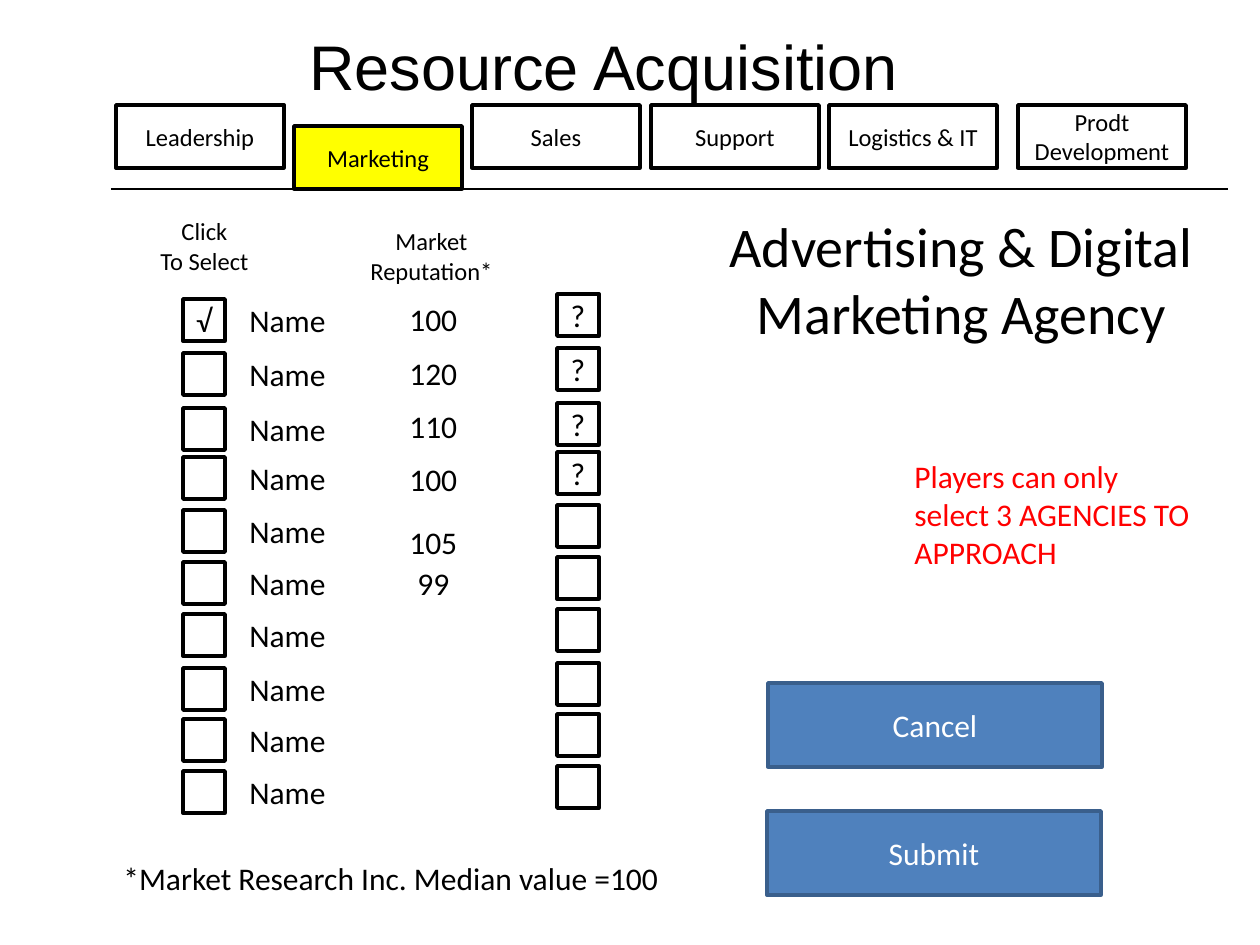
"""Build the resource acquisition slide with its marketing tab open."""
from lxml.etree import SubElement
from pptx import Presentation
from pptx.dml.color import RGBColor as RGB
from pptx.enum.shapes import MSO_CONNECTOR as CON, MSO_SHAPE as SHAPE
from pptx.enum.text import MSO_ANCHOR as ANCHOR, MSO_AUTO_SIZE as AUTO, PP_ALIGN as ALIGN
from pptx.oxml.ns import qn
from pptx.util import Inches, Pt

BLACK = RGB(0, 0, 0)
WHITE = RGB(255, 255, 255)
YELLOW = RGB(255, 255, 0)
RED = RGB(255, 0, 0)
BLUE = RGB(0x4F, 0x81, 0xBD)
NAVY = RGB(0x3A, 0x5F, 0x8C)

TABS = [
    ("Leadership", 116, 105, WHITE),
    ("Marketing", 294, 126, YELLOW),
    ("Sales", 472, 105, None),
    ("Support", 651, 105, WHITE),
    ("Logistics & IT", 829, 105, None),
    ("Prodt\nDevelopment", 1018, 105, None),
]
ROWS = [299, 353, 408, 457, 510, 562, 614, 668, 719, 771]
SCORES = [("100", 294), ("120", 348), ("110", 401), ("100", 454), ("105", 517), ("99", 558)]


class Deck:
    """Hold the style and the current slide."""

    font = "Calibri"
    px = Inches(1) / 126

    def __init__(self):
        self.prs = Presentation()
        self.prs.slide_width, self.prs.slide_height = Inches(10), Inches(7.5)
        self.slide = self.prs.slides.add_slide(self.prs.slide_layouts[6])

    def emu(self, *nums):
        return [round(n * self.px) for n in nums]

    def style(self, frame, text, size, color, align, font=None):
        frame.text = text
        for para in frame.paragraphs:
            para.alignment = align
            for run in para.runs:
                run.font.name = font or self.font
                run.font.size = Pt(size)
                run.font.color.rgb = color

    def box(self, area, text="", size=18, fill=WHITE, line=BLACK, ink=BLACK):
        shape = self.slide.shapes.add_shape(SHAPE.RECTANGLE, *self.emu(*area))
        shape.shadow.inherit = False
        if fill is None:
            shape.fill.background()
        else:
            shape.fill.solid()
            shape.fill.fore_color.rgb = fill
        shape.line.color.rgb = line
        shape.line.width = Pt(2)
        shape.text_frame.vertical_anchor = ANCHOR.MIDDLE
        self.style(shape.text_frame, text, size, ink, ALIGN.CENTER)

    def label(self, area, text, size=18, ink=BLACK, align=ALIGN.LEFT, wrap=False, font=None, fill=None):
        shape = self.slide.shapes.add_textbox(*self.emu(*area))
        if fill is not None:
            shape.fill.solid()
            shape.fill.fore_color.rgb = fill
        frame = shape.text_frame
        frame.word_wrap = wrap
        frame.auto_size = AUTO.SHAPE_TO_FIT_TEXT
        self.style(frame, text, size, ink, align, font)

    def rule(self, *ends):
        line = self.slide.shapes.add_connector(CON.STRAIGHT, *self.emu(*ends))
        line.line.color.rgb = BLACK
        line.line.width = Pt(1.5)
        SubElement(line._element.spPr, qn("a:effectLst"))

    def save(self):
        self.prs.save("out.pptx")


def main():
    deck = Deck()
    deck.label((297, 21, 636, 89), "Resource Acquisition", 36, font="Arial")
    for name, left, top, fill in TABS:
        deck.box((left, top, 168, 63), name, 14, fill)
    deck.rule(111, 189, 1228, 189)

    for text, area in [
        ("Click\nTo Select", (147, 210, 115, 72)),
        ("Market\nReputation*", (357, 220, 149, 72)),
    ]:
        deck.label(area, text, 14, align=ALIGN.CENTER, fill=WHITE)
    for i, top in enumerate(ROWS):
        deck.box((183, top, 42, 42), "√" if i == 0 else "")
        deck.label((237, top - 4, 102, 50), "Name")
        deck.box((557, top - 5, 42, 42), "?" if i < 4 else "")
    for score, top in SCORES:
        wide = 26 + 16 * len(score)
        deck.label((434 - wide // 2, top, wide, 50), score)
    deck.label((111, 853, 567, 50), "*Market Research Inc. Median value =100")

    deck.label((683, 205, 557, 149), "Advertising & Digital Marketing Agency", 32,
               align=ALIGN.CENTER, wrap=True)
    deck.label((902, 451, 307, 127), "Players can only select 3 AGENCIES TO APPROACH",
               ink=RED, wrap=True)
    for text, left, top in [("Cancel", 768, 683), ("Submit", 767, 811)]:
        deck.box((left, top, 334, 84), text, fill=BLUE, line=NAVY, ink=WHITE)
    deck.save()


if __name__ == "__main__":
    main()
